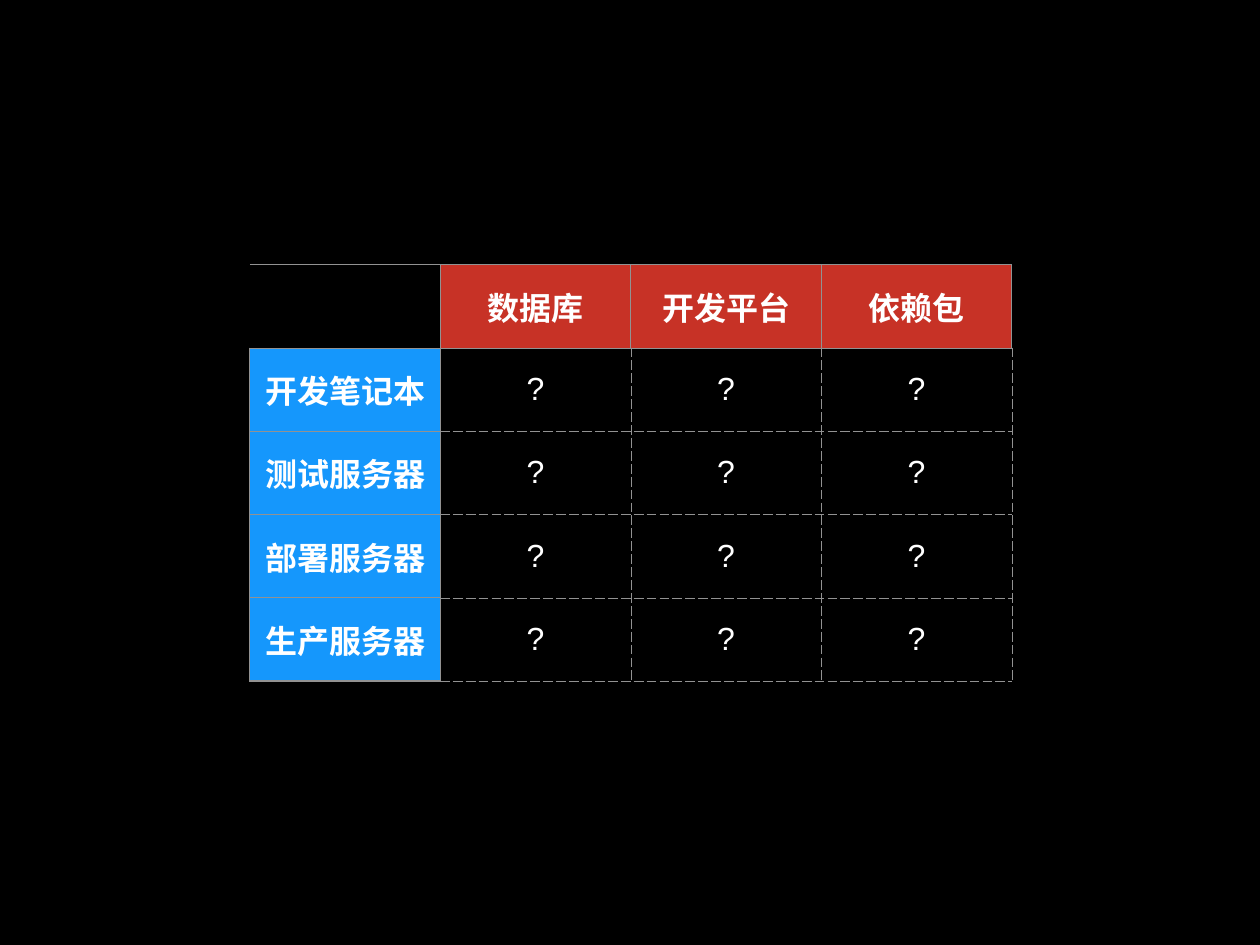
from lxml import etree
from pptx import Presentation
from pptx.dml.color import RGBColor
from pptx.enum import text
from pptx.oxml import ns
from pptx.util import Inches, Pt

# Content
PLATFORM_PARTS = ["数据库", "开发平台", "依赖包"]
MACHINES = ["开发笔记本", "测试服务器", "部署服务器", "生产服务器"]
ROWS = [["", *PLATFORM_PARTS]]
ROWS += [[machine] + ["?"] * len(PLATFORM_PARTS) for machine in MACHINES]

COLORS = {
    "background": "000000",
    "text": "FFFFFF",
    "column_head": "C73226",
    "row_head": "1597FC",
    "border": "929292",
}
LEFT, TOP = 2.82, 2.99
COLUMN_WIDTH, ROW_HEIGHT = 2.15, 0.94
MARGIN = Inches(0.06)


def color(name):
    return RGBColor.from_string(COLORS[name])


def border(edge, style):
    """Return a cell edge that is solid, dashed or absent."""
    width = Pt(0.25 if style == "dash" else 1)
    line = etree.Element(ns.qn(f"a:{edge}"), w=str(width))
    if style == "none":
        etree.SubElement(line, ns.qn("a:noFill"))
        return line
    fill = etree.SubElement(line, ns.qn("a:solidFill"))
    etree.SubElement(fill, ns.qn("a:srgbClr"), val=COLORS["border"])
    etree.SubElement(line, ns.qn("a:prstDash"), val=style)
    return line


def edge_styles(row, column):
    """Edges that touch a heading cell are solid, the others dashed."""
    solid = {
        "lnL": row == 0 or column <= 1,
        "lnR": row == 0 or column == 0,
        "lnT": row <= 1 or column == 0,
        "lnB": row == 0 or column == 0,
    }
    styles = {edge: "solid" if flag else "dash" for edge, flag in solid.items()}
    if row == column == 0:
        styles["lnL"] = "none"
    return styles


def format_cell(cell, row, column):
    is_heading = row == 0 or column == 0
    cell.vertical_anchor = text.MSO_ANCHOR.MIDDLE
    cell.margin_left = cell.margin_right = MARGIN
    cell.margin_top = cell.margin_bottom = MARGIN

    if is_heading and cell.text:
        cell.fill.solid()
        cell.fill.fore_color.rgb = color("column_head" if row == 0 else "row_head")
    else:
        cell.fill.background()

    properties = cell._tc.get_or_add_tcPr()
    for index, (edge, style) in enumerate(edge_styles(row, column).items()):
        properties.insert(index, border(edge, style))

    paragraph = cell.text_frame.paragraphs[0]
    paragraph.alignment = text.PP_ALIGN.CENTER
    for run in paragraph.runs:
        run.font.name = "Arial"
        run.font.size = Pt(26)
        run.font.bold = is_heading
        run.font.color.rgb = color("text")


def main():
    presentation = Presentation()
    presentation.slide_width = Inches(14.22)
    presentation.slide_height = Inches(10.67)
    slide = presentation.slides.add_slide(presentation.slide_layouts[6])
    slide.background.fill.solid()
    slide.background.fill.fore_color.rgb = color("background")

    # Table of machines against platform parts
    row_count, column_count = len(ROWS), len(ROWS[0])
    table = slide.shapes.add_table(
        row_count, column_count, Inches(LEFT), Inches(TOP),
        Inches(COLUMN_WIDTH * column_count), Inches(ROW_HEIGHT * row_count),
    ).table
    table.horz_banding = False
    for row, values in enumerate(ROWS):
        for column, value in enumerate(values):
            cell = table.cell(row, column)
            cell.text = value
            format_cell(cell, row, column)

    presentation.save("out.pptx")


if __name__ == "__main__":
    main()
